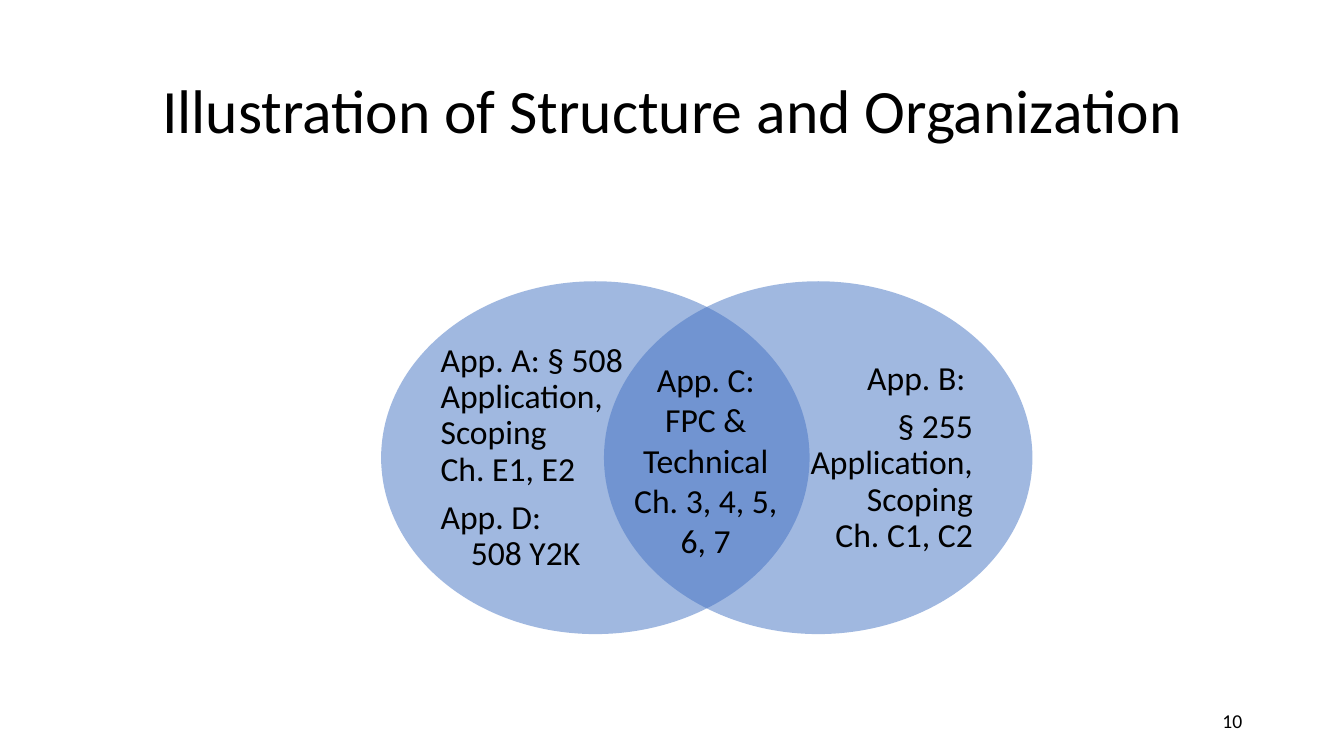
from lxml import etree
from pptx import Presentation
from pptx import util as u
from pptx.dml.color import RGBColor
from pptx.enum import shapes, text
from pptx.oxml import ns

BLACK = RGBColor(0x00, 0x00, 0x00)
CIRCLE_BLUE = RGBColor(0x43, 0x72, 0xC3)
LEFT, CENTER, RIGHT = text.PP_ALIGN.LEFT, text.PP_ALIGN.CENTER, text.PP_ALIGN.RIGHT
MIDDLE, TOP = text.MSO_ANCHOR.MIDDLE, text.MSO_ANCHOR.TOP


class SlideBuilder:
    """Places elements by percentages of the slide's width and height."""
    font_name = "Calibri"

    def __init__(self, deck):
        self.width, self.height = deck.slide_width, deck.slide_height
        self.page = deck.slides.add_slide(deck.slide_layouts[5])

    def area(self, left, top, width, height):
        return [round(share * side / 100) for share, side in
                zip((left, top, width, height), (self.width, self.height) * 2)]

    def fill_text(self, box, lines, size, align, anchor, spacing=1.0, gap=0, inset=True):
        """Each line is a string or a (string, left indent, space before) tuple."""
        frame = box.text_frame
        frame.word_wrap = True
        frame.auto_size = text.MSO_AUTO_SIZE.NONE
        frame.vertical_anchor = anchor
        frame.margin_left = frame.margin_right = u.Inches(0.1 if inset else 0)
        frame.margin_top = frame.margin_bottom = u.Inches(0.05 if inset else 0)
        for index, line in enumerate(lines):
            words, indent, before = line if isinstance(line, tuple) else (line, 0, gap)
            para = frame.paragraphs[0] if index == 0 else frame.add_paragraph()
            para.text = words
            para.alignment = align
            para.line_spacing = spacing
            para.space_before = u.Pt(before if index else 0)
            if indent:
                para._p.get_or_add_pPr().set("marL", str(u.Inches(indent)))
            para.font.name, para.font.size = self.font_name, u.Pt(size)
            para.font.color.rgb = BLACK

    def title(self, words, area):
        box = self.page.shapes.title
        box.left, box.top, box.width, box.height = self.area(*area)
        self.fill_text(box, [words], 44, CENTER, MIDDLE, 0.9)

    def label(self, lines, area, size=24, align=LEFT, anchor=MIDDLE, **style):
        box = self.page.shapes.add_textbox(*self.area(*area))
        self.fill_text(box, lines, size, align, anchor, **style)

    def circle(self, area):
        oval = self.page.shapes.add_shape(shapes.MSO_SHAPE.OVAL, *self.area(*area))
        oval.shadow.inherit = False
        oval.line.fill.background()
        oval.fill.solid()
        oval.fill.fore_color.rgb = CIRCLE_BLUE
        color = oval._element.spPr.find(".//" + ns.qn("a:srgbClr"))
        etree.SubElement(color, ns.qn("a:alpha"), val="50000")


def main():
    deck = Presentation()
    deck.slide_width, deck.slide_height = u.Inches(13.33), u.Inches(7.5)
    slide = SlideBuilder(deck)

    # Title and page number
    slide.title("Illustration of Structure and Organization", (6.9, 5.33, 86.27, 19.33))
    slide.label(["10"], (70.67, 92.67, 22.5, 5.33), size=14, align=RIGHT)

    # Two overlapping circles, each with its own text
    app_a = ["App. A: § 508\vApplication,\vScoping\vCh. E1, E2", "App. D:",
             ("508 Y2K", 0.3, 0)]
    app_b = ["App. B: ", "§ 255\vApplication,\vScoping\vCh. C1, C2"]
    for circle_left, text_left, lines, align in ((28.36, 32.78, app_a, LEFT),
                                                 (44.94, 54.01, app_b, RIGHT)):
        slide.circle((circle_left, 37.2, 31.88, 46.67))
        slide.label(lines, (text_left, 42.8, 18.38, 35.6), align=align,
                    spacing=0.9, gap=8.4, inset=False)

    # Shared part in the overlap
    slide.label(["App. C:", "FPC & Technical\vCh. 3, 4, 5,\v6, 7"],
                (45.16, 46.8, 14.7, 28.27), align=CENTER, anchor=TOP)

    deck.save("out.pptx")


if __name__ == "__main__":
    main()
